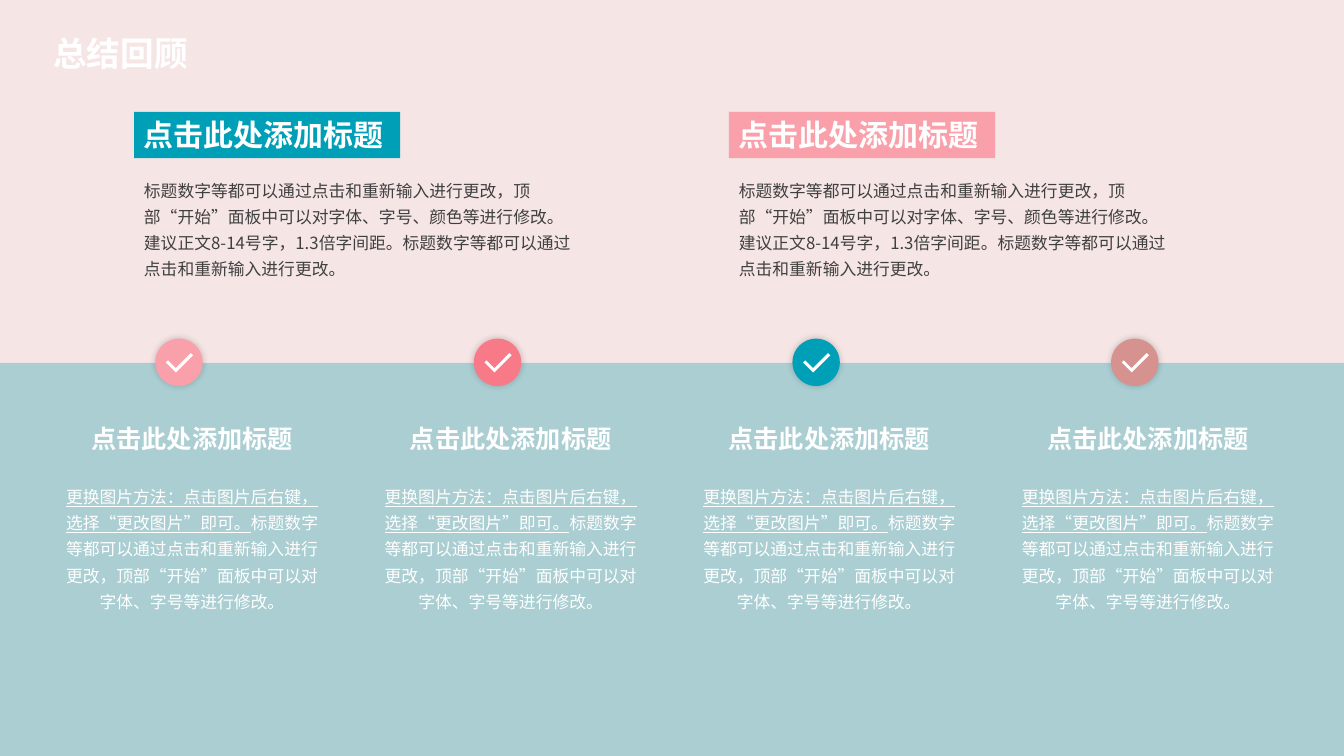
from dataclasses import dataclass

from lxml.etree import SubElement
from pptx import Presentation
from pptx.dml.color import RGBColor
from pptx.enum.lang import MSO_LANGUAGE_ID
from pptx.enum.shapes import MSO_SHAPE
from pptx.enum.text import MSO_ANCHOR, PP_ALIGN
from pptx.oxml.ns import qn
from pptx.util import Inches, Pt

BODY_FONT = "Noto Sans CJK SC"
HEADING = "点击此处添加标题"
SUMMARY = (
    "标题数字等都可以通过点击和重新输入进行更改，顶部“开始”面板中可以对字体、字号、颜色等进行修改。"
    "建议正文8-14号字，1.3倍字间距。标题数字等都可以通过点击和重新输入进行更改。"
)
HINT = "更换图片方法：点击图片后右键，选择“更改图片”即可。"
DETAIL = "标题数字等都可以通过点击和重新输入进行更改，顶部“开始”面板中可以对字体、字号等进行修改。"

WHITE = "FFFFFF"
TEAL = "009FB8"
PINK = "FAA0AA"
TITLE_FORMAT = {"name": "Arial", "size": Pt(24), "bold": True}
BANNER_FORMAT = {"name": "Arial", "size": Pt(21.4), "bold": True}
HEADING_FORMAT = {"name": "League Spartan", "size": Pt(18), "bold": True}
BODY_FORMAT = {"name": BODY_FONT, "size": Pt(12)}
HINT_FORMAT = BODY_FORMAT | {"underline": True}


@dataclass
class Span:
    text: str
    format: dict
    color: str = WHITE


@dataclass
class Section:
    left: float
    color: str


@dataclass
class Step:
    left: float
    color: str


SECTIONS = [Section(1.33, TEAL), Section(7.23, PINK)]
STEP_PITCH = 3.16
STEPS = [
    Step(0.51 + index * STEP_PITCH, color)
    for index, color in enumerate([PINK, "F87987", TEAL, "D5928E"])
]


def rgb(color: str) -> RGBColor:
    return RGBColor.from_string(color)


def add_block(shapes, kind, left: float, top: float, width: float, height: float, color: str):
    block = shapes.add_shape(kind, Inches(left), Inches(top), Inches(width), Inches(height))
    block.shadow.inherit = False
    block.fill.solid()
    block.fill.fore_color.rgb = rgb(color)
    block.line.fill.background()
    return block


def write(box, spans: list[Span], align=PP_ALIGN.LEFT, spacing: float = 1.0,
          anchor=MSO_ANCHOR.TOP) -> None:
    frame = box.text_frame
    frame.word_wrap = True
    frame.vertical_anchor = anchor
    para = frame.paragraphs[0]
    para.alignment = align
    para.line_spacing = spacing
    for span in spans:
        run = para.add_run()
        run.text = span.text
        for attribute, value in span.format.items():
            setattr(run.font, attribute, value)
        run.font.color.rgb = rgb(span.color)
        run.font.language_id = MSO_LANGUAGE_ID.SIMPLIFIED_CHINESE
        east_asian = SubElement(run.font._element, qn("a:ea"))
        east_asian.set("typeface", BODY_FONT)


def add_text(page, left: float, top: float, width: float, height: float,
             spans: list[Span], **layout) -> None:
    box = page.shapes.add_textbox(Inches(left), Inches(top), Inches(width), Inches(height))
    write(box, spans, **layout)


def add_soft_shadow(shape) -> None:
    effects = shape._element.spPr.find(qn("a:effectLst"))
    shadow = SubElement(effects, qn("a:outerShdw"), blurRad=str(Pt(5)), dist="0", dir="0",
                        algn="ctr", rotWithShape="0")
    tint = SubElement(shadow, qn("a:srgbClr"), val="000000")
    SubElement(tint, qn("a:alpha"), val="20000")


def add_badge(page, left: float, color: str) -> None:
    badge = page.shapes.add_group_shape()
    disc = add_block(badge.shapes, MSO_SHAPE.OVAL, left, 3.36, 0.47, 0.47, color)
    add_soft_shadow(disc)
    check = add_block(badge.shapes, MSO_SHAPE.CORNER, left + 0.12, 3.49, 0.24, 0.14, WHITE)
    check.rotation = 315
    check.adjustments[0] = 0.218
    check.adjustments[1] = 0.206


def add_section(page, section: Section) -> None:
    add_text(page, section.left, 1.68, 4.5, 1.15,
             [Span(SUMMARY, BODY_FORMAT, "404040")], spacing=1.3)
    banner = add_block(page.shapes, MSO_SHAPE.RECTANGLE, section.left, 1.11, 2.64, 0.46,
                       section.color)
    write(banner, [Span(HEADING, BANNER_FORMAT)], anchor=MSO_ANCHOR.MIDDLE)


def add_step(page, step: Step) -> None:
    layout = {"align": PP_ALIGN.CENTER, "spacing": 1.3}
    add_badge(page, step.left + 1.03, step.color)
    add_text(page, step.left, 4.72, 2.79, 1.53,
             [Span(HINT, HINT_FORMAT), Span(DETAIL, BODY_FORMAT)], **layout)
    add_text(page, step.left, 4.06, 2.79, 0.54, [Span(HEADING, HEADING_FORMAT)], **layout)


def main() -> None:
    deck = Presentation()
    deck.slide_width = Inches(13.33)
    deck.slide_height = Inches(7.5)
    page = deck.slides.add_slide(deck.slide_layouts[6])
    page.background.fill.solid()
    page.background.fill.fore_color.rgb = rgb("F5E5E4")
    add_block(page.shapes, MSO_SHAPE.RECTANGLE, 0, 3.6, 13.33, 3.9, "AACED2")
    add_text(page, 0.43, 0.26, 4, 0.54, [Span("总结回顾", TITLE_FORMAT)],
             anchor=MSO_ANCHOR.MIDDLE)
    for section in SECTIONS:
        add_section(page, section)
    for step in STEPS:
        add_step(page, step)
    deck.save("out.pptx")


if __name__ == "__main__":
    main()
